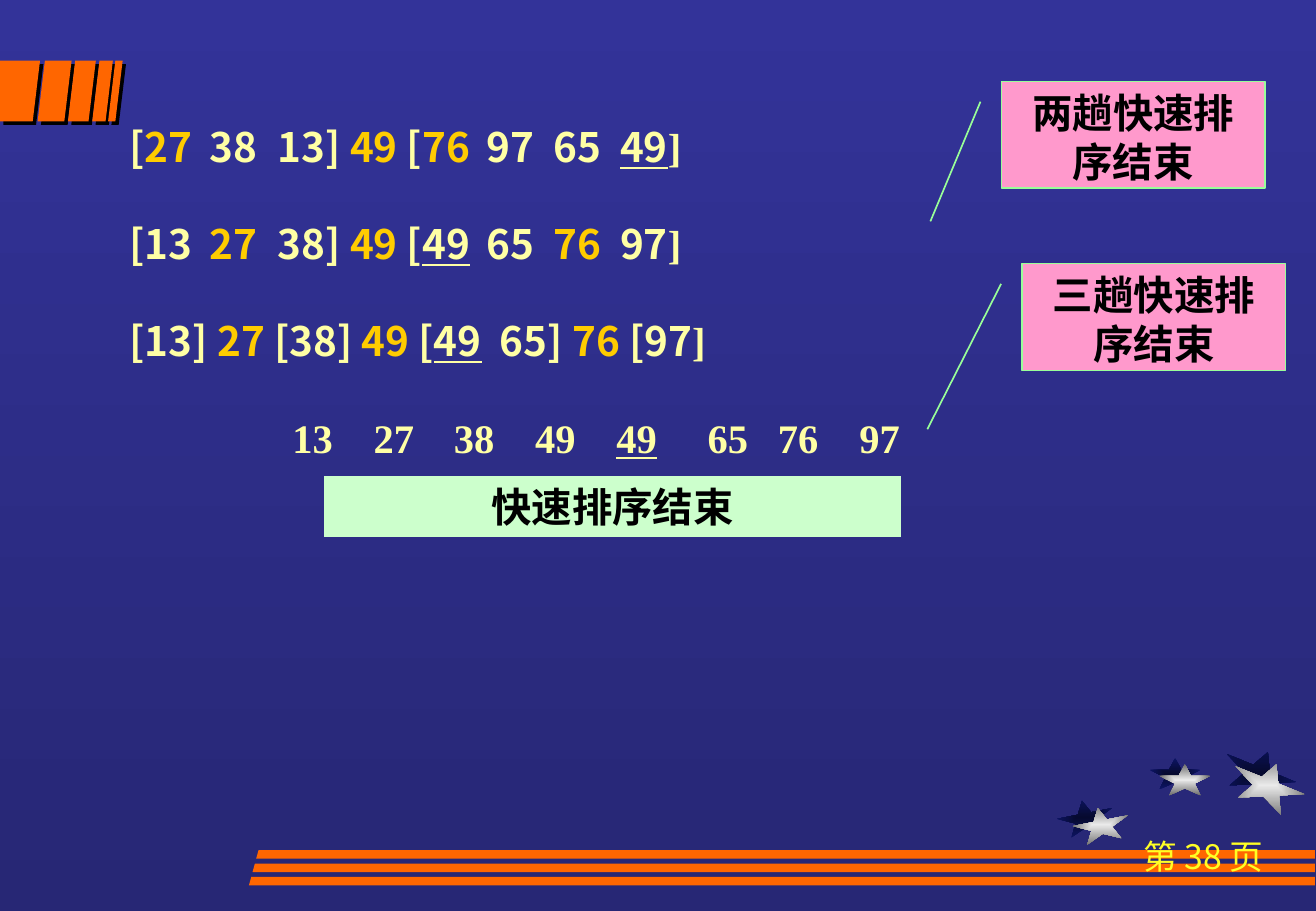
from lxml import etree
from pptx import Presentation
from pptx.dml.color import RGBColor
from pptx.enum.shapes import MSO_SHAPE
from pptx.enum.text import MSO_ANCHOR, PP_ALIGN
from pptx.oxml.ns import qn
from pptx.util import Inches, Pt

CALLOUT = MSO_SHAPE.LINE_CALLOUT_1
RECTANGLE = MSO_SHAPE.RECTANGLE
TOP = MSO_ANCHOR.TOP
CENTER = PP_ALIGN.CENTER

SANS = "Noto Sans CJK SC"
SERIF = "Times New Roman"
CREAM, GOLD, BLACK = "FFFFA5", "FFCC00", "000000"
ORANGE, PINK, MINT, GREEN = "FF6600", "FF99CC", "CCFFCC", "99FF99"
DARK_STAR = ("060A2F", "0D1565")
LIGHT_STAR = ("EAEAEA", "6C6C6C")

PLAIN = (CREAM, False, SANS)
PIVOT = (GOLD, False, SANS)
TWIN = (CREAM, True, SANS)
SERIF_PLAIN = (CREAM, False, SERIF)
SERIF_TWIN = (CREAM, True, SERIF)
CLOSING = ("]", SERIF_PLAIN)

PASS_TABS = (0.97, 1.63, 2.19, 3.91, 4.46, 5.01)
PASSES = [
    (PASS_TABS, [("\t[", PLAIN), ("27", PIVOT), ("\t38\t13] ", PLAIN), ("49", PIVOT),
                 (" [", PLAIN), ("76", PIVOT), ("\t97\t65\t", PLAIN), ("49", TWIN), CLOSING]),
    (PASS_TABS, [("\t[13\t", PLAIN), ("27", PIVOT), ("\t38] ", PLAIN), ("49", PIVOT),
                 (" [", PLAIN), ("49", TWIN), ("\t65\t", PLAIN), ("76", PIVOT),
                 ("\t97", PLAIN), CLOSING]),
    ((0.97, 4.02), [("\t[13] ", PLAIN), ("27 ", PIVOT), ("[38] ", PLAIN), ("49", PIVOT),
                    (" [", PLAIN), ("49", TWIN), ("\t65] ", PLAIN), ("76", PIVOT),
                    (" [97", PLAIN), CLOSING]),
    ((2.31, 2.98, 3.64, 4.31, 4.98, 5.73, 6.31, 6.98),
     [("\t13\t27\t38\t49\t", SERIF_PLAIN), ("49", SERIF_TWIN), ("\t65\t76\t97", SERIF_PLAIN)]),
]

STAR = [(0, 0.38), (0.38, 0.38), (0.5, 0), (0.62, 0.38), (1, 0.38),
        (0.69, 0.62), (0.81, 1), (0.5, 0.77), (0.19, 1), (0.31, 0.62)]
STARS = [
    (8.71, 6.59, 0.46, 0.28, 349, DARK_STAR), (9.47, 6.24, 0.42, 0.26, 0, DARK_STAR),
    (10.07, 6.18, 0.61, 0.37, 22, DARK_STAR), (8.84, 6.65, 0.46, 0.28, 349, LIGHT_STAR),
    (9.55, 6.29, 0.42, 0.26, 0, LIGHT_STAR), (10.14, 6.28, 0.61, 0.37, 22, LIGHT_STAR),
]
BARS = [(0, 0.33), (0.37, 0.59), (0.62, 0.79), (0.82, 0.93), (0.95, 1.01)]


def colour(code):
    """Turn a hex string into a colour."""
    return RGBColor.from_string(code)


def set_gradient(fill, codes):
    """Give a fill a gradient of two colours."""
    fill.gradient()
    for stop, code, position in zip(fill.gradient_stops, codes, (0, 1)):
        stop.color.rgb = colour(code)
        stop.position = position


def add_outline(group, points):
    """Draw a closed outline through points in inches."""
    corners = [(Inches(x), Inches(y)) for x, y in points]
    builder = group.shapes.build_freeform(*corners[0])
    builder.add_line_segments(corners[1:], close=True)
    shape = builder.convert_to_shape()
    shape.shadow.inherit = False
    shape.line.fill.background()
    return shape


def add_star(group, left, top, width, height, rotation, codes):
    """Draw a turned star whose gradient spreads from its centre."""
    star = add_outline(group, [(left + x * width, top + y * height) for x, y in STAR])
    star.rotation = rotation
    set_gradient(star.fill, codes)
    gradient = star._element.spPr.find(qn("a:gradFill"))
    gradient.remove(gradient.find(qn("a:lin")))
    spread = etree.SubElement(gradient, qn("a:path"), path="rect")
    etree.SubElement(spread, qn("a:fillToRect"), l="50000", t="50000", r="50000", b="50000")


def add_orange(group, points):
    """Draw a plain orange outline."""
    shape = add_outline(group, points)
    shape.fill.solid()
    shape.fill.fore_color.rgb = colour(ORANGE)
    return shape


def add_bar(group, left, right):
    """Draw a slanted bar with a hard black shadow."""
    bar = add_orange(group, [(left, 0.5), (right, 0.5), (right - 0.06, 1), (max(0, left - 0.06), 1)])
    effects = bar._element.spPr.find(qn("a:effectLst"))
    shadow = etree.SubElement(effects, qn("a:outerShdw"), dist=str(Pt(2.8)), dir="2700000",
                              algn="ctr", rotWithShape="0")
    etree.SubElement(shadow, qn("a:srgbClr"), val=BLACK)


def add_stripe(group, index):
    """Draw one of the stripes along the foot of the page."""
    left, top = 2.11 - 0.03 * index, 7 + 0.11 * index
    add_orange(group, [(left, top + 0.07), (10.83, top + 0.07), (10.83, top), (left + 0.02, top)])


def add_span(para, text, style, size=24, bold=True):
    """Append a formatted run of text."""
    code, underline, latin = style
    span = para.add_run()
    span.text = text
    font = span.font
    font.size, font.bold, font.underline, font.name = Pt(size), bold, underline, latin
    font.color.rgb = colour(code)
    etree.SubElement(span._r.rPr, qn("a:ea"), typeface=SANS)


def add_text_box(page, left, top, width, height):
    """Add a wrapping text box and return its frame."""
    box = page.shapes.add_textbox(Inches(left), Inches(top), Inches(width), Inches(height))
    box.text_frame.word_wrap = True
    return box.text_frame


def add_passes(page):
    """Write the rows of numbers after each sorting pass."""
    frame = add_text_box(page, 0, 0.95, 10.83, 2.9)
    for index, (stops, spans) in enumerate(PASSES):
        para = frame.add_paragraph() if index else frame.paragraphs[0]
        tabs = etree.SubElement(para._p.get_or_add_pPr(), qn("a:tabLst"))
        for stop in stops:
            etree.SubElement(tabs, qn("a:tab"), pos=str(Inches(stop)), algn="l")
        para.line_spacing = Pt(29)
        if index:
            para.space_before = Pt(28.5)
        for text, style in spans:
            add_span(para, text, style)


def add_label(page, kind, bounds, fill, prefix=""):
    """Add a filled shape that names the end of a pass."""
    label = page.shapes.add_shape(kind, *[Inches(length) for length in bounds])
    label.shadow.inherit = False
    label.fill.solid()
    label.fill.fore_color.rgb = colour(fill)
    label.line.fill.background()
    frame = label.text_frame
    frame.word_wrap = True
    frame.vertical_anchor = TOP
    para = frame.paragraphs[0]
    para.alignment = CENTER
    para.line_spacing = Pt(29)
    for text, latin in ((prefix, SANS), ("快速", SERIF), ("排序结束", SANS)):
        if text:
            add_span(para, text, (BLACK, False, latin))
    return label


def add_callout(page, left, top, prefix, tip):
    """Add a pink callout whose pointer ends at the given tip."""
    callout = add_label(page, CALLOUT, (left, top, 2.17, 0.88), PINK, prefix)
    callout.line.color.rgb = colour(GREEN)
    callout.line.width = Pt(1)
    for index, value in enumerate((0.19, -0.08, *tip)):
        callout.adjustments[index] = value


def add_page_number(page):
    """Write the page number in the corner."""
    para = add_text_box(page, 9, 6.83, 1.83, 0.5).paragraphs[0]
    para.alignment = CENTER
    add_span(para, "第 38 页", ("FFFF25", False, SANS), 20, False)


def main():
    """Build the quicksort page and save it."""
    deck = Presentation()
    deck.slide_width, deck.slide_height = Inches(10.84), Inches(7.5)
    page = deck.slides.add_slide(deck.slide_layouts[6])
    set_gradient(page.background.fill, ("333399", "272775"))
    page.background.fill.gradient_angle = 270
    stars, bars, stripes = [page.shapes.add_group_shape() for _ in range(3)]
    for star in STARS:
        add_star(stars, *star)
    for bar in BARS:
        add_bar(bars, *bar)
    for index in range(3):
        add_stripe(stripes, index)
    add_page_number(page)
    add_passes(page)
    add_callout(page, 8.25, 0.67, "两趟", (1.31, -0.27))
    add_callout(page, 8.42, 2.17, "三趟", (1.55, -0.36))
    add_label(page, RECTANGLE, (2.67, 3.92, 4.75, 0.5), MINT)
    deck.save("out.pptx")


if __name__ == "__main__":
    main()
